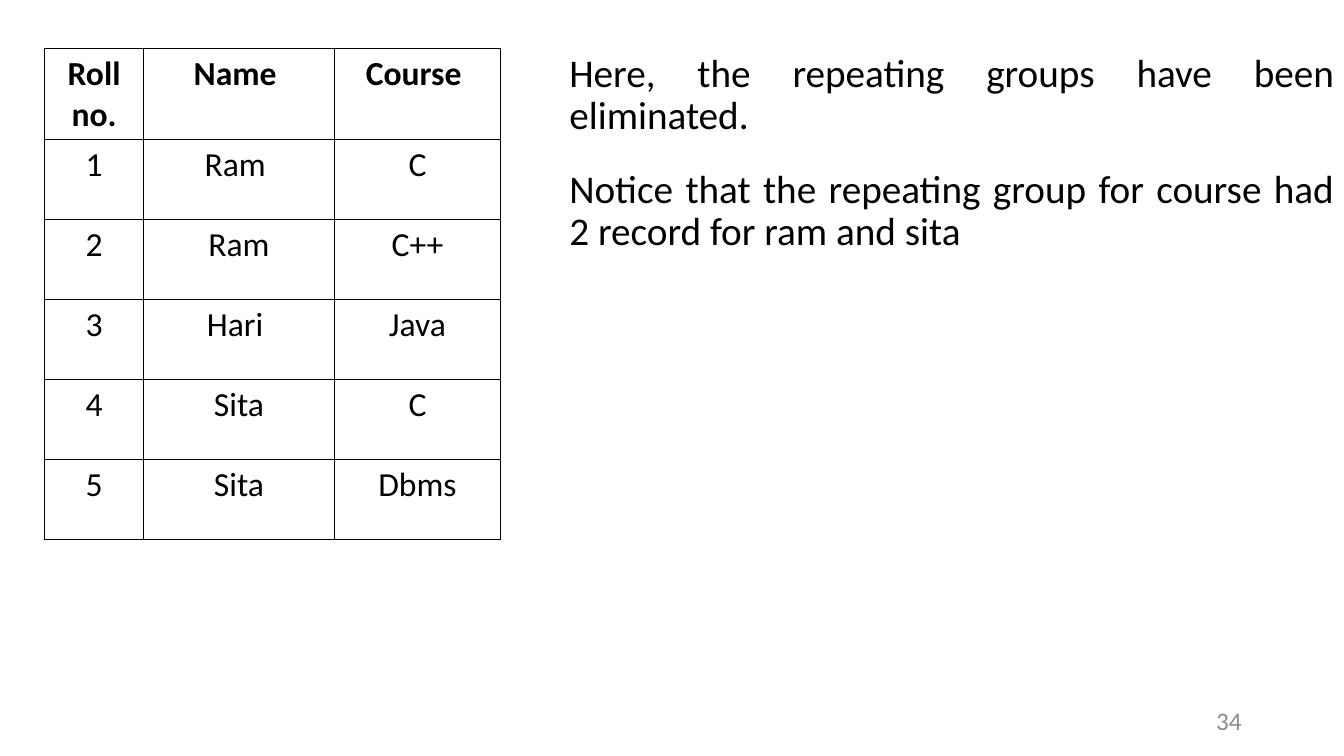
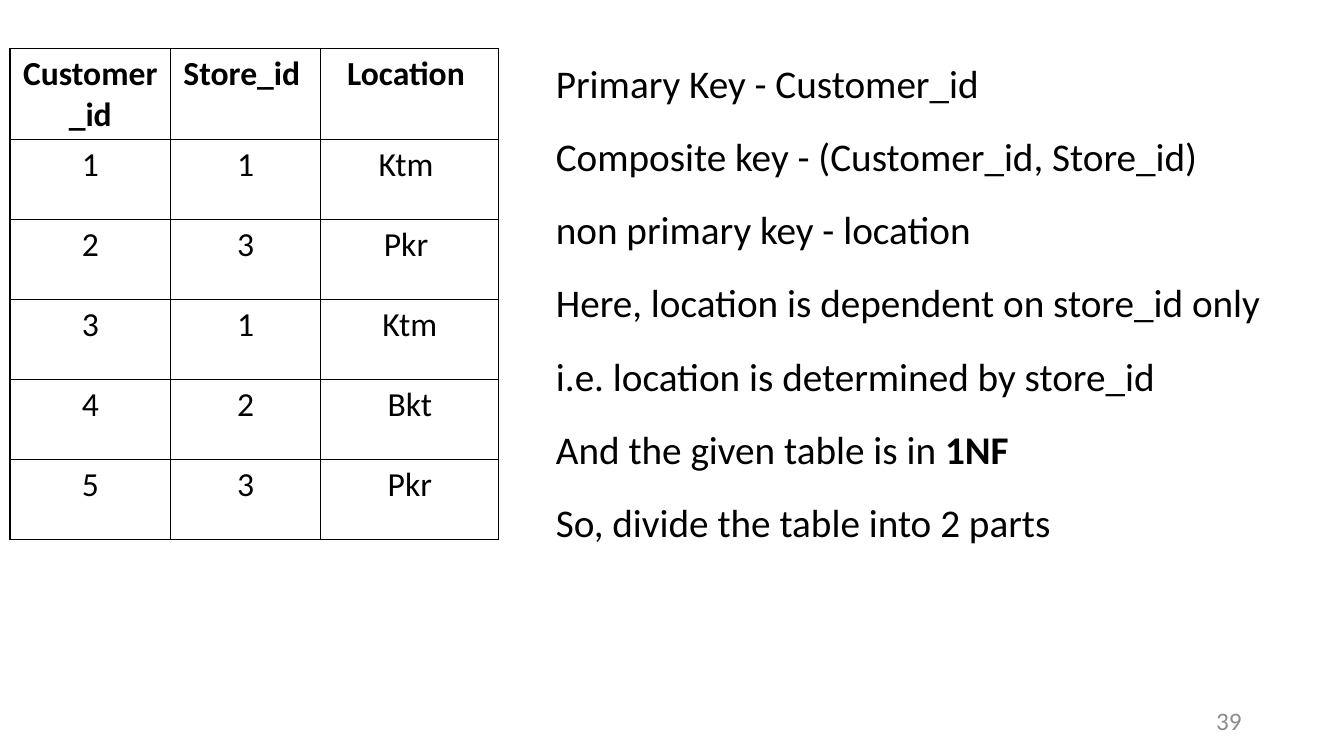
from dataclasses import dataclass
from typing import NamedTuple

from lxml.etree import SubElement
from pptx import Presentation
from pptx.dml.color import RGBColor
from pptx.enum.text import MSO_ANCHOR as Anchor, PP_ALIGN as Align
from pptx.oxml.ns import qn
from pptx.util import Inches, Pt

COLS, ROWS = 160, 90
SLIDE_W, SLIDE_H = Inches(13.33), Inches(7.5)


@dataclass(frozen=True)
class Theme:
    font: str = "Calibri"
    ink: RGBColor = RGBColor(0x00, 0x00, 0x00)
    paper: RGBColor = RGBColor(0xFF, 0xFF, 0xFF)
    muted: RGBColor = RGBColor(0x8C, 0x8C, 0x8C)
    body_size: int = 28
    cell_size: int = 24
    page_size: int = 18
    line_spacing: float = 0.9
    space_before: int = 10
    space_after: int = 12
    border: int = 1


class Box(NamedTuple):
    """A place on the slide, in grid columns and rows."""
    left: float
    top: float
    width: float
    height: float


class Span(NamedTuple):
    text: str
    bold: bool = False


@dataclass(frozen=True)
class Table:
    left: float
    widths: tuple[float, ...]
    rows: tuple[tuple[str, ...], ...]
    top: float = 5.8
    row_height: float = 9.52


@dataclass(frozen=True)
class Page:
    number: str
    table: Table
    body_box: Box
    body: tuple[tuple[Span, ...], ...]
    align: Align


THEME = Theme()
NUMBER_BOX = Box(113, 83.4, 36, 4.8)

PAGES = (
    Page(
        number="34",
        table=Table(
            left=5.3,
            widths=(11.8, 22.7, 19.8),
            rows=(
                ("Roll no.", "Name ", "Course "),
                ("1", "Ram ", "C"),
                ("2", "Ram", "C++"),
                ("3", "Hari ", "Java"),
                ("4", "Sita", "C"),
                ("5", "Sita", "Dbms"),
            ),
        ),
        body_box=Box(66.6, 5.8, 93.4, 84.2),
        body=(
            (Span("Here, the repeating groups have been eliminated."),),
            (Span("Notice that the repeating group for course had 2 record for ram and sita"),),
        ),
        align=Align.JUSTIFY,
    ),
    Page(
        number="39",
        table=Table(
            left=1.2,
            widths=(19.1, 17.9, 21.2),
            rows=(
                ("Customer_id", "Store_id ", "Location "),
                ("1", "1", "Ktm "),
                ("2", "3", "Pkr "),
                ("3", "1", "Ktm"),
                ("4", "2", "Bkt"),
                ("5", "3", "Pkr"),
            ),
        ),
        body_box=Box(65, 7.1, 93.7, 74.6),
        body=(
            (Span("Primary Key - Customer_id"),),
            (Span("Composite key - (Customer_id, Store_id)"),),
            (Span("non primary key - location"),),
            (Span("Here, location is dependent on store_id only"),),
            (Span("i.e. location is determined by store_id"),),
            (Span("And the given table is in "), Span("1NF", bold=True)),
            (Span("So, divide the table into 2 parts"),),
        ),
        align=Align.LEFT,
    ),
)


def across(cols: float) -> int:
    return round(SLIDE_W * cols / COLS)


def down(rows: float) -> int:
    return round(SLIDE_H * rows / ROWS)


def add_run(p, span: Span, size: int, color: RGBColor) -> None:
    r = p.add_run()
    r.text = span.text
    r.font.name = THEME.font
    r.font.size = Pt(size)
    r.font.bold = span.bold
    r.font.color.rgb = color


def add_text_frame(s, box: Box):
    sp = s.shapes.add_textbox(across(box.left), down(box.top),
                              across(box.width), down(box.height))
    tf = sp.text_frame
    tf.word_wrap = True
    return tf


def add_body(s, page: Page) -> None:
    tf = add_text_frame(s, page.body_box)
    for i, spans in enumerate(page.body):
        p = tf.add_paragraph() if i else tf.paragraphs[0]
        p.alignment = page.align
        p.line_spacing = THEME.line_spacing
        p.space_before = Pt(THEME.space_before)
        p.space_after = Pt(THEME.space_after)
        for span in spans:
            add_run(p, span, THEME.body_size, THEME.ink)


def add_page_number(s, number: str) -> None:
    tf = add_text_frame(s, NUMBER_BOX)
    tf.vertical_anchor = Anchor.MIDDLE
    p = tf.paragraphs[0]
    p.alignment = Align.RIGHT
    add_run(p, Span(number), THEME.page_size, THEME.muted)


def add_borders(cell) -> None:
    """Line all four sides; call before filling, as lines come first in tcPr."""
    props = cell._tc.get_or_add_tcPr()
    for side in ("lnL", "lnR", "lnT", "lnB"):
        ln = SubElement(props, qn(f"a:{side}"), w=str(Pt(THEME.border)))
        fill = SubElement(ln, qn("a:solidFill"))
        SubElement(fill, qn("a:srgbClr"), val=str(THEME.ink))


def add_table(s, table: Table) -> None:
    frame = s.shapes.add_table(
        len(table.rows), len(table.widths),
        across(table.left), down(table.top),
        across(sum(table.widths)), down(table.row_height * len(table.rows)))
    grid = frame.table
    for column, width in zip(grid.columns, table.widths):
        column.width = across(width)
    for i, (row, texts) in enumerate(zip(grid.rows, table.rows)):
        row.height = down(table.row_height)
        for cell, text in zip(row.cells, texts):
            add_borders(cell)
            cell.fill.solid()
            cell.fill.fore_color.rgb = THEME.paper
            p = cell.text_frame.paragraphs[0]
            p.alignment = Align.CENTER
            add_run(p, Span(text, bold=i == 0), THEME.cell_size, THEME.ink)


def main() -> None:
    prs = Presentation()
    prs.slide_width, prs.slide_height = SLIDE_W, SLIDE_H
    blank = prs.slide_layouts[6]
    for page in PAGES:
        s = prs.slides.add_slide(blank)
        add_body(s, page)
        add_page_number(s, page.number)
        add_table(s, page.table)
    prs.save("out.pptx")


if __name__ == "__main__":
    main()
